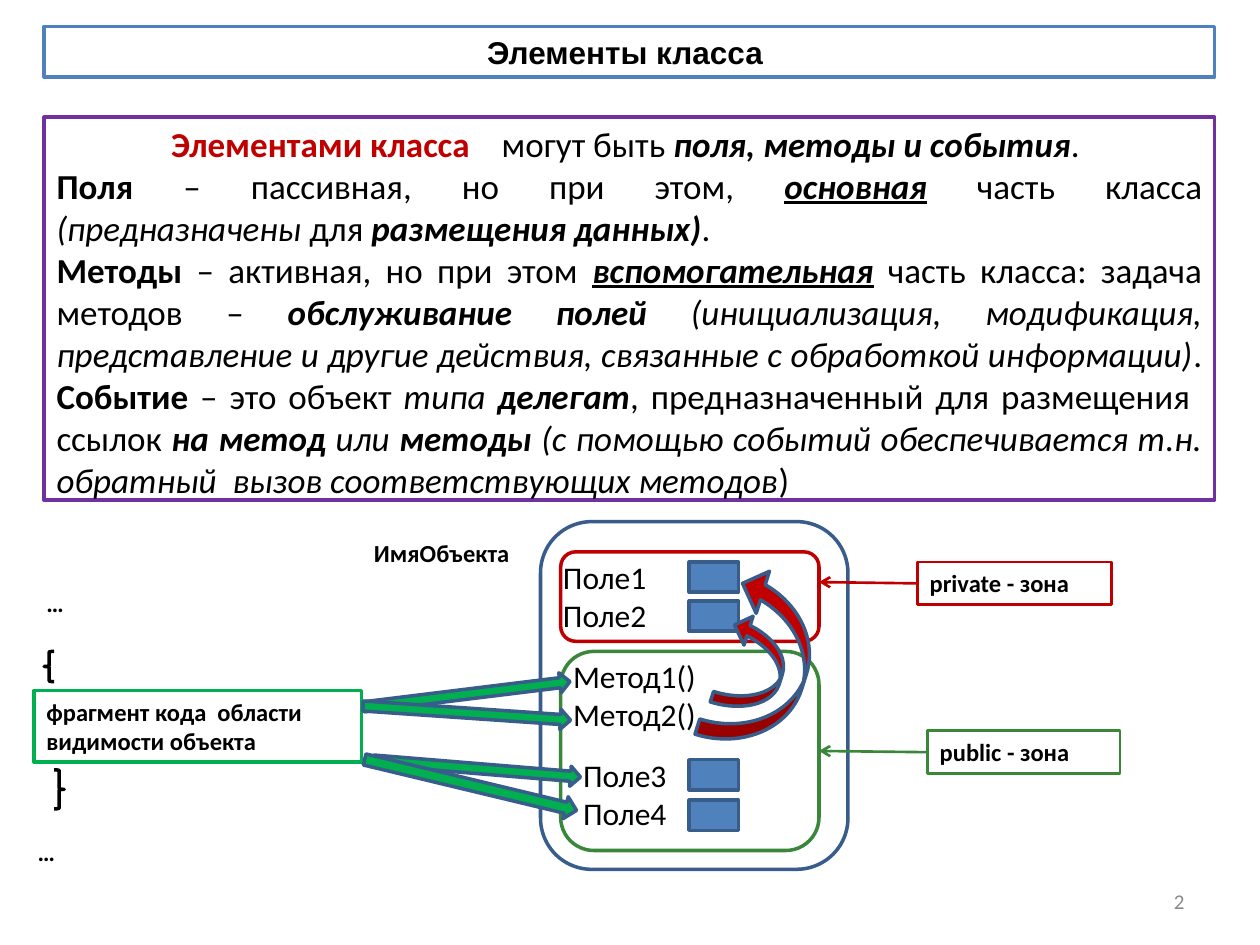
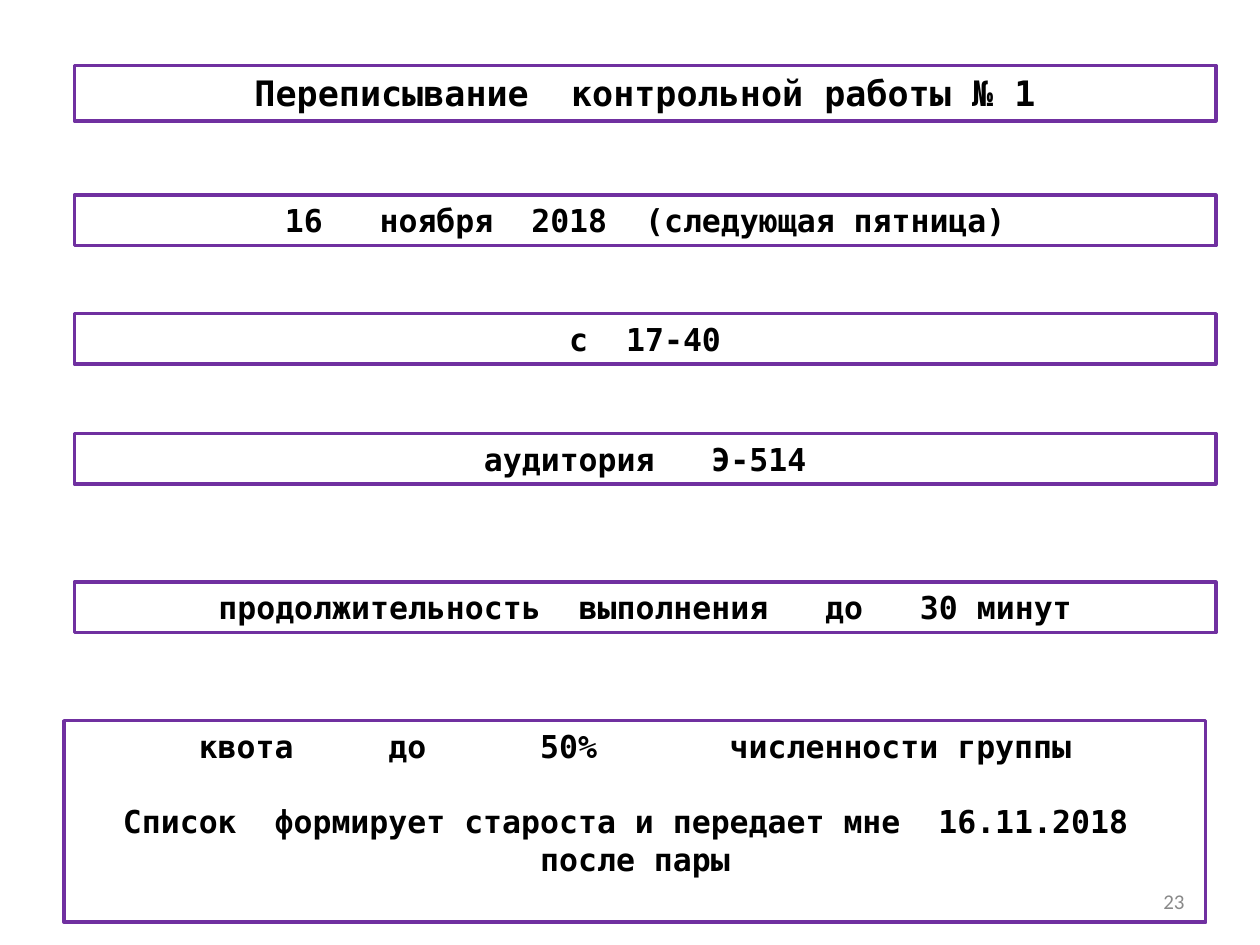
from pptx import Presentation
from pptx.dml.color import RGBColor
from pptx.enum.shapes import MSO_CONNECTOR, MSO_SHAPE
from pptx.enum.text import MSO_ANCHOR, PP_ALIGN
from pptx.oxml.ns import qn
from pptx.util import Inches, Pt
from lxml.etree import SubElement

BLACK = RGBColor(0x00, 0x00, 0x00)
WHITE = RGBColor(0xFF, 0xFF, 0xFF)
GREY = RGBColor(0x89, 0x89, 0x89)
PURPLE = RGBColor(0x70, 0x30, 0xA0)
RED = RGBColor(0xC0, 0x00, 0x00)
GREEN = RGBColor(0x3A, 0x86, 0x3A)
BRIGHT_GREEN = RGBColor(0x00, 0xB0, 0x50)
BLUE = RGBColor(0x4F, 0x81, 0xBD)
DARK_BLUE = RGBColor(0x38, 0x5D, 0x8A)

deck = Presentation()
deck.slide_width = Inches(10)
deck.slide_height = Inches(7.5)
COLUMN = deck.slide_width // 100
ROW = deck.slide_height // 75
RECT = MSO_SHAPE.RECTANGLE
ROUNDED = MSO_SHAPE.ROUNDED_RECTANGLE


def place(page, kind, cells, line=None, fill=None, weight=2, turn=0):
    left, top, width, height = cells
    frame = [int(n) for n in (left * COLUMN, top * ROW, width * COLUMN, height * ROW)]
    if kind is None:
        return page.shapes.add_textbox(*frame)
    shape = page.shapes.add_shape(kind, *frame)
    shape.shadow.inherit = False
    shape.rotation = turn
    shape.line.color.rgb = line
    shape.line.width = Pt(weight)
    if fill is None:
        shape.fill.background()
    else:
        shape.fill.solid()
        shape.fill.fore_color.rgb = fill
    return shape


def write(box, text, size, font="Calibri", bold=False, align=PP_ALIGN.LEFT,
          color=BLACK, anchor=MSO_ANCHOR.TOP):
    box.text_frame.text = text
    box.text_frame.word_wrap = True
    box.text_frame.vertical_anchor = anchor
    for para in box.text_frame.paragraphs:
        para.alignment = align
        for span in para.runs:
            span.font.name = font
            span.font.size = Pt(size)
            span.font.bold = bold
            span.font.color.rgb = color


elements_page, retake_page = [deck.slides.add_slide(deck.slide_layouts[6]) for _ in range(2)]
for page, number in ((elements_page, "2"), (retake_page, "23")):
    write(place(page, None, (71.7, 69.5, 23.3, 4)), number, 12,
          align=PP_ALIGN.RIGHT, color=GREY, anchor=MSO_ANCHOR.MIDDLE)

page = elements_page
title = place(page, RECT, (3.5, 2.1, 92.9, 4), BLUE)
write(title, "Элементы класса ", 18, "Arial", True, PP_ALIGN.CENTER)

definitions = [
    [("Элементами класса    ", "br"), ("могут быть ", ""),
     ("поля, методы и события", "bi"), (". ", "")],
    [("Поля", "b"), (" – пассивная, но при этом, ", ""), ("основная", "biu"),
     (" часть класса", "n"), ("(предназначены ", "i"), ("для ", ""),
     ("размещения данных)", "bi"), (". ", "")],
    [("Методы", "b"), (" – активная, но при этом ", ""), ("вспомогательная", "biu"),
     (" часть класса: задача методов – ", ""), ("обслуживание полей ", "bi"),
     ("(инициализация, модификация, представление и другие действия, "
      "связанные с обработкой информации)", "i"), (". ", "")],
    [("Событие", "b"), (" – это объект ", ""), ("типа ", "i"), ("делегат", "bi"),
     (", предназначенный для размещения  ссылок ", ""), ("на метод ", "bi"),
     ("или", "i"), (" методы ", "bi"),
     ("(с помощью событий обеспечивается т.н. обратный  вызов "
      "соответствующих методов", "i"), (")", "")],
]
definition_box = place(page, RECT, (3.5, 9.3, 92.9, 30.4), PURPLE)
frame = definition_box.text_frame
frame.word_wrap = True
frame.vertical_anchor = MSO_ANCHOR.MIDDLE
frame.margin_top = Inches(0.04)
frame.margin_bottom = 0
for index, definition in enumerate(definitions):
    para = frame.add_paragraph() if index else frame.paragraphs[0]
    para.alignment = PP_ALIGN.JUSTIFY if index else PP_ALIGN.CENTER
    for text, marks in definition:
        span = para.add_run()
        span.text = text
        span.font.name = "Calibri"
        span.font.size = Pt(20)
        span.font.bold = "b" in marks
        span.font.italic = "i" in marks
        span.font.underline = "u" in marks
        span.font.color.rgb = RED if "r" in marks else BLACK
        if "n" in marks:
            para.add_line_break()

place(page, ROUNDED, (42.9, 41.4, 24.4, 27.6), DARK_BLUE, WHITE)
for text, left, top in (("ИмяОбъекта", 28.7, 42.2), ("…", 2.7, 46.2), ("…", 2, 65.9)):
    write(place(page, None, (left, top, 15.3, 3.4)), text, 14, bold=True)
place(page, MSO_SHAPE.LEFT_BRACE, (3.5, 51.7, 0.8, 2.4), BLACK)
place(page, MSO_SHAPE.RIGHT_BRACE, (4.3, 61.1, 0.8, 3.1), BLACK)
code_box = place(page, RECT, (2.7, 54.8, 26, 5.7), BRIGHT_GREEN)
write(code_box, "фрагмент кода  области видимости объекта", 14, bold=True)

members = ("Поле1\nПоле2", "Метод1()\nМетод2()", "Поле3\nПоле4")
for index, text in enumerate(members):
    cells = (43.7 + 0.8 * index, 43.8 + 7.85 * index, 19.7, 7)
    write(place(page, None, cells), text, 18)

private_zone = place(page, ROUNDED, (44.5, 43.8, 20.5, 7.1), RED)
public_zone = place(page, ROUNDED, (44.5, 51.7, 20.5, 15.8), GREEN)
for top in (44.6, 47.7, 60.3, 63.5):
    place(page, RECT, (54.7, top, 3.9, 2.4), DARK_BLUE, BLUE)

calls = (
    (29.6, 60.2, 16.5, 1.6, 4.7),
    (28.7, 61.4, 17.3, 1.8, 13.5),
    (28.8, 54.3, 16.5, 1.6, 353),
    (28.8, 55.8, 16.5, 1.6, 3.9),
)
for *cells, turn in calls:
    place(page, MSO_SHAPE.RIGHT_ARROW, cells, DARK_BLUE, BRIGHT_GREEN, turn=turn)
for cells in ((56, 50.4, 7.6, 4.8), (53.5, 49, 14.3, 7)):
    access = place(page, MSO_SHAPE.CURVED_UP_ARROW, cells, DARK_BLUE, RED, turn=287.5)
    for index, share in enumerate((0.18, 0.5, 0.25)):
        access.adjustments[index] = share

zone_labels = (
    ("public - зона", (73.6, 58, 15.3, 3.4), GREEN, 59.5),
    ("private - зона", (72.8, 44.6, 15.4, 3.4), RED, 46.2),
)
for text, cells, color, tip in zone_labels:
    label = place(page, RECT, cells, color, weight=1.5)
    write(label, text, 14, bold=True)
    pointer = page.shapes.add_connector(
        MSO_CONNECTOR.STRAIGHT, int(cells[0] * COLUMN), int((cells[1] + 1.7) * ROW),
        65 * COLUMN, int(tip * ROW))
    pointer.begin_connect(label, 1)
    if color == GREEN:
        pointer.end_connect(public_zone, 3)
    pointer.line.color.rgb = color
    pointer.line.width = Pt(1.5)
    SubElement(pointer.line._get_or_add_ln(), qn("a:tailEnd"), type="arrow")
    SubElement(pointer._element.spPr, qn("a:effectLst"))

page = retake_page
notices = (
    ("Переписывание  контрольной работы № 1", 5.2, 4.4, 20),
    ("16   ноября  2018  (следующая пятница)", 15.5, 4, 18),
    ("с  17-40", 24.9, 4, 18),
    ("аудитория   Э-514", 34.4, 4, 18),
    ("продолжительность  выполнения   до   30 минут", 46.2, 4, 18),
)
for text, top, height, size in notices:
    notice = place(page, RECT, (5.9, top, 90.6, height), PURPLE)
    write(notice, text, size, "DejaVu Sans Mono", True, PP_ALIGN.CENTER)

quota = place(page, RECT, (5.1, 57.2, 90.6, 16), PURPLE)
write(quota, "квота     до      50%       численности группы\n"
      "Список  формирует староста и передает мне  16.11.2018  после пары",
      18, "DejaVu Sans Mono", True, PP_ALIGN.CENTER)
quota.text_frame.paragraphs[1].space_before = Pt(21.5)

deck.save("out.pptx")
